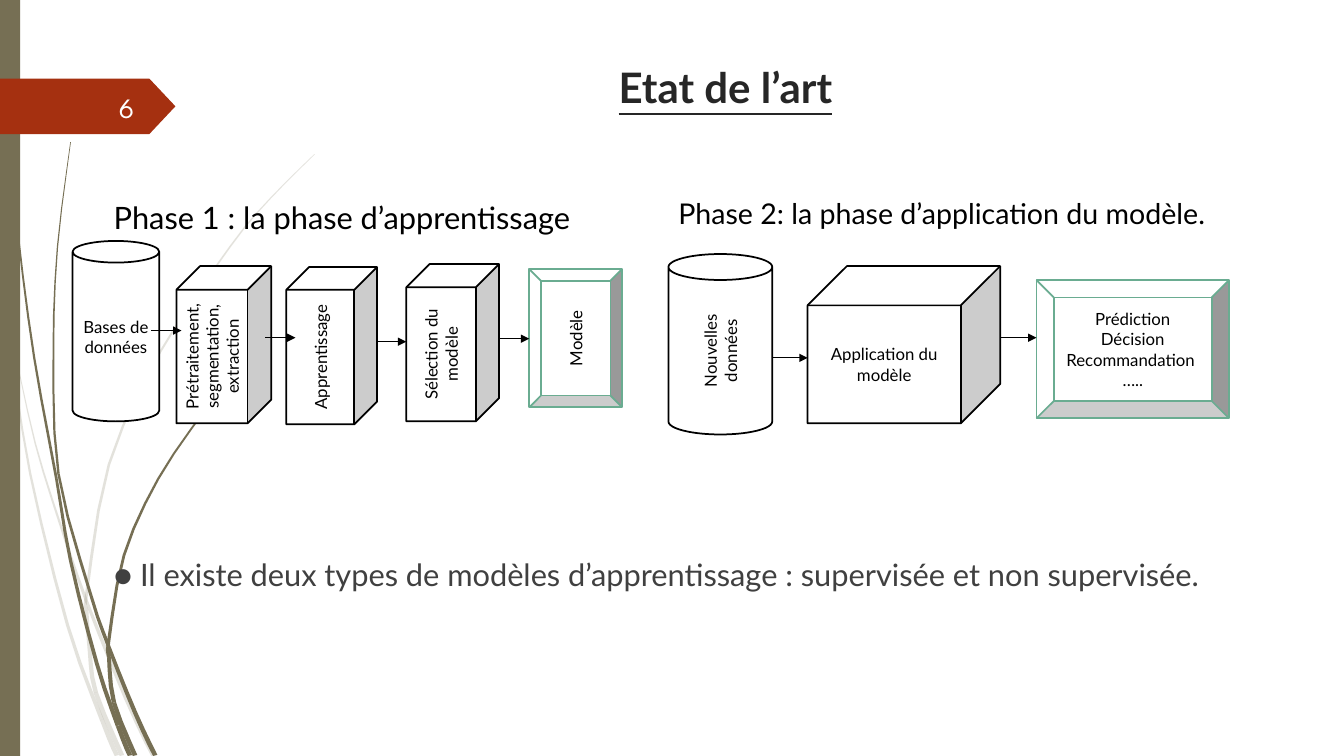
"""Build the "Etat de l'art" slide: the two phases of a learning system."""
from dataclasses import dataclass
from math import hypot

from lxml import etree
from pptx import Presentation
from pptx import util as u
from pptx.dml.color import RGBColor
from pptx.enum import shapes, text
from pptx.oxml.ns import qn

COLORS = {"olive": "766F54", "red": "A53010", "green": "6AAC91", "black": "000000",
          "white": "FFFFFF", "title": "262626", "body": "404040", "number": "FEFFFF"}
KIND = shapes.MSO_SHAPE
ALIGN = text.PP_ALIGN
STEPS = 3
Point = tuple[float, float]
Box = tuple[float, float, float, float]


@dataclass
class Strand:
    points: list[Point]
    joints: list[int]
    opacity: int = 100


@dataclass
class Block:
    kind: int
    box: Box
    lines: list[str]
    upright: bool = False
    line: str = "black"


@dataclass
class Label:
    box: Box
    wording: str
    size: float
    color: str = "black"
    align: int = ALIGN.LEFT
    font: str = "Lato"
    heading: bool = False


@dataclass
class Arrow:
    x: float
    y: float
    length: float = 0.3


STRANDS = [
    Strand([(0, 2.9), (0.11, 3.5), (0.3, 4.7), (0.67, 6.2), (1.01, 7.14), (1.16, 7.5)],
           [1, 4], 20),
    Strand([(0.15, 3.5), (0.35, 4.4), (0.6, 5.21), (0.86, 5.97), (1.25, 6.93), (1.52, 7.5)],
           [3], 20),
    Strand([(3.12, 1.53), (2.68, 1.97), (2.28, 2.45), (1.59, 3.49), (1.08, 4.61),
            (0.86, 5.88), (0.86, 6.06), (0.89, 6.46), (0.95, 6.87), (1.21, 7.5)],
           [5, 6, 8], 20),
    Strand([(0.04, 0), (0.07, 1.1), (0.18, 2.33), (0.34, 3.55), (0.56, 4.75), (0.7, 5.56),
            (0.96, 6.58), (1.17, 7.2), (1.29, 7.5)], [4, 7]),
    Strand([(0.7, 1.41), (0.57, 2.45), (0.53, 3.49), (0.58, 4.7), (0.9, 5.9),
            (1.08, 6.42), (1.34, 7.07), (1.54, 7.5)], [3, 5]),
    Strand([(2.6, 3.44), (2.31, 3.73), (2.04, 4.06), (1.57, 4.75), (1.23, 5.51),
            (1.08, 6.35), (1.08, 6.52), (1.13, 6.97), (1.34, 7.5)], [5, 6, 7]),
]
BLOCKS = [
    Block(KIND.CAN, (0.72, 2.39, 0.86, 1.79), ["Bases de données"]),
    Block(KIND.CUBE, (1.75, 2.64, 0.94, 1.56), ["Prétraitement, segmentation, extraction"], True),
    Block(KIND.CUBE, (2.84, 2.65, 0.9, 1.56), ["Apprentissage"], True),
    Block(KIND.CUBE, (4.03, 2.62, 0.92, 1.56), ["Sélection du modèle"], True),
    Block(KIND.BEVEL, (5.25, 2.67, 0.92, 1.37), ["Modèle"], True, "green"),
    Block(KIND.CAN, (6.63, 2.52, 1.03, 1.79), ["Nouvelles données"], True),
    Block(KIND.CUBE, (8.01, 2.64, 1.91, 1.56), ["Application du modèle"]),
    Block(KIND.BEVEL, (10.28, 2.78, 1.91, 1.37),
          ["Prédiction", "Décision", "Recommandation ", "….."], line="green"),
]
ARROWS = [Arrow(1.5, 3.28), Arrow(2.63, 3.35), Arrow(3.73, 3.39), Arrow(4.95, 3.36),
          Arrow(7.66, 3.55, 0.35), Arrow(9.93, 3.35, 0.35)]
LABELS = [
    Label((1.8, 0.54, 10.79, 0.64), "Etat de l’art", 30, "title", ALIGN.CENTER, heading=True),
    Label((1.03, 1.85, 5.64, 0.6), "Phase 1 : la phase d’apprentissage", 22),
    Label((6.63, 1.81, 5.67, 0.6), "Phase 2: la phase d’application du modèle.", 20.4),
    Label((1.03, 5.4, 11.55, 0.6), "● Il existe deux types de modèles d’apprentissage : "
          "supervisée et non supervisée.", 22, "body"),
    Label((0.58, 0.86, 0.85, 0.4), "6", 20, "number", ALIGN.RIGHT, "League Spartan"),
]


def rgb(name: str) -> RGBColor:
    """Return a palette colour."""
    return RGBColor.from_string(COLORS[name])


def paint(sp, fill: str, line: str | None = None) -> None:
    """Set the fill and outline of a shape and drop its shadow."""
    sp.shadow.inherit = False
    sp.fill.solid()
    sp.fill.fore_color.rgb = rgb(fill)
    if line:
        sp.line.color.rgb = rgb(line)
        sp.line.width = u.Pt(1.25)
    else:
        sp.line.fill.background()


def write(p, wording: str, size: float, color: str, align: int, font: str = "Lato"):
    """Add one run to a paragraph and return it."""
    p.alignment = align
    r = p.add_run()
    r.text = wording
    r.font.name, r.font.size, r.font.color.rgb = font, u.Pt(size), rgb(color)
    return r


def smooth(points: list[Point]) -> list[Point]:
    """Interpolate a Catmull-Rom curve through the points."""
    ends = [points[0], *points, points[-1]]
    curve = []
    for a, b, c, d in zip(ends, ends[1:], ends[2:], ends[3:]):
        for t in (i / STEPS for i in range(STEPS)):
            x, y = (0.5 * (2 * q + (r - o) * t + (2 * o - 5 * q + 4 * r - w) * t ** 2
                           + (3 * q - o - 3 * r + w) * t ** 3)
                    for o, q, r, w in zip(a, b, c, d))
            curve.append((x, y))
    return curve + [points[-1]]


def draw_strand(s, strand: Strand) -> None:
    """Draw a curved blade that widens towards its foot, piece by piece."""
    curve = smooth(strand.points)
    left, right = [], []
    for i, (x, y) in enumerate(curve):
        (x0, y0), (x1, y1) = curve[max(i - 1, 0)], curve[min(i + 1, len(curve) - 1)]
        half = 0.003 + 0.022 * i / len(curve)
        dx, dy = x1 - x0, y1 - y0
        nx, ny = -dy / hypot(dx, dy) * half, dx / hypot(dx, dy) * half
        left.append((x + nx, y + ny))
        right.append((x - nx, y - ny))
    cuts = [0, *strand.joints, len(strand.points) - 1]
    for start, end in zip(cuts, cuts[1:]):
        piece = slice(start * STEPS, end * STEPS + 1)
        outline = [(u.Inches(max(x, 0)), u.Inches(min(max(y, 0), 7.5)))
                   for x, y in left[piece] + right[piece][::-1]]
        builder = s.shapes.build_freeform(*outline[0])
        builder.add_line_segments(outline[1:])
        sp = builder.convert_to_shape()
        paint(sp, "olive")
        if strand.opacity < 100:
            color = sp._element.spPr.find(".//" + qn("a:srgbClr"))
            etree.SubElement(color, qn("a:alpha"), val=str(strand.opacity * 1000))


def draw_shape(s, kind: int, box: Box, fill: str, line: str | None = None):
    """Draw a painted preset shape."""
    sp = s.shapes.add_shape(kind, *map(u.Inches, box))
    paint(sp, fill, line)
    return sp


def draw_block(s, block: Block) -> None:
    """Draw one stage of a phase with its text."""
    tf = draw_shape(s, block.kind, block.box, "white", block.line).text_frame
    tf.word_wrap = True
    tf.vertical_anchor = text.MSO_ANCHOR.MIDDLE
    tf.margin_left = tf.margin_right = u.Inches(0.05)
    if block.upright:
        tf._txBody.bodyPr.set("vert", "vert270")
    for i, line in enumerate(block.lines):
        p = tf.add_paragraph() if i else tf.paragraphs[0]
        write(p, line, 12, "black", ALIGN.CENTER)


def draw_arrow(s, arrow: Arrow) -> None:
    """Draw a horizontal arrow between two stages."""
    y = u.Inches(arrow.y)
    cx = s.shapes.add_connector(shapes.MSO_CONNECTOR.STRAIGHT, u.Inches(arrow.x), y,
                                u.Inches(arrow.x + arrow.length), y)
    cx.line.color.rgb = rgb("black")
    cx.line.width = u.Pt(0.75)
    etree.SubElement(cx.line._get_or_add_ln(), qn("a:tailEnd"), type="triangle")
    etree.SubElement(cx._element.spPr, qn("a:effectLst"))


def draw_label(s, label: Label) -> None:
    """Draw a line of free text."""
    tf = s.shapes.add_textbox(*map(u.Inches, label.box)).text_frame
    tf.word_wrap = True
    tf.vertical_anchor = text.MSO_ANCHOR.MIDDLE
    r = write(tf.paragraphs[0], label.wording, label.size, label.color, label.align, label.font)
    r.font.bold = r.font.underline = label.heading


prs = Presentation()
prs.slide_width, prs.slide_height = u.Inches(13.33), u.Inches(7.5)
s = prs.slides.add_slide(prs.slide_layouts[6])
for strand in STRANDS:
    draw_strand(s, strand)
draw_shape(s, KIND.RECTANGLE, (0, 0, 0.2, 7.5), "olive")
draw_shape(s, KIND.PENTAGON, (0, 0.78, 1.74, 0.55), "red").adjustments[0] = 0.47
for block in BLOCKS:
    draw_block(s, block)
for arrow in ARROWS:
    draw_arrow(s, arrow)
for label in LABELS:
    draw_label(s, label)
prs.save("out.pptx")
